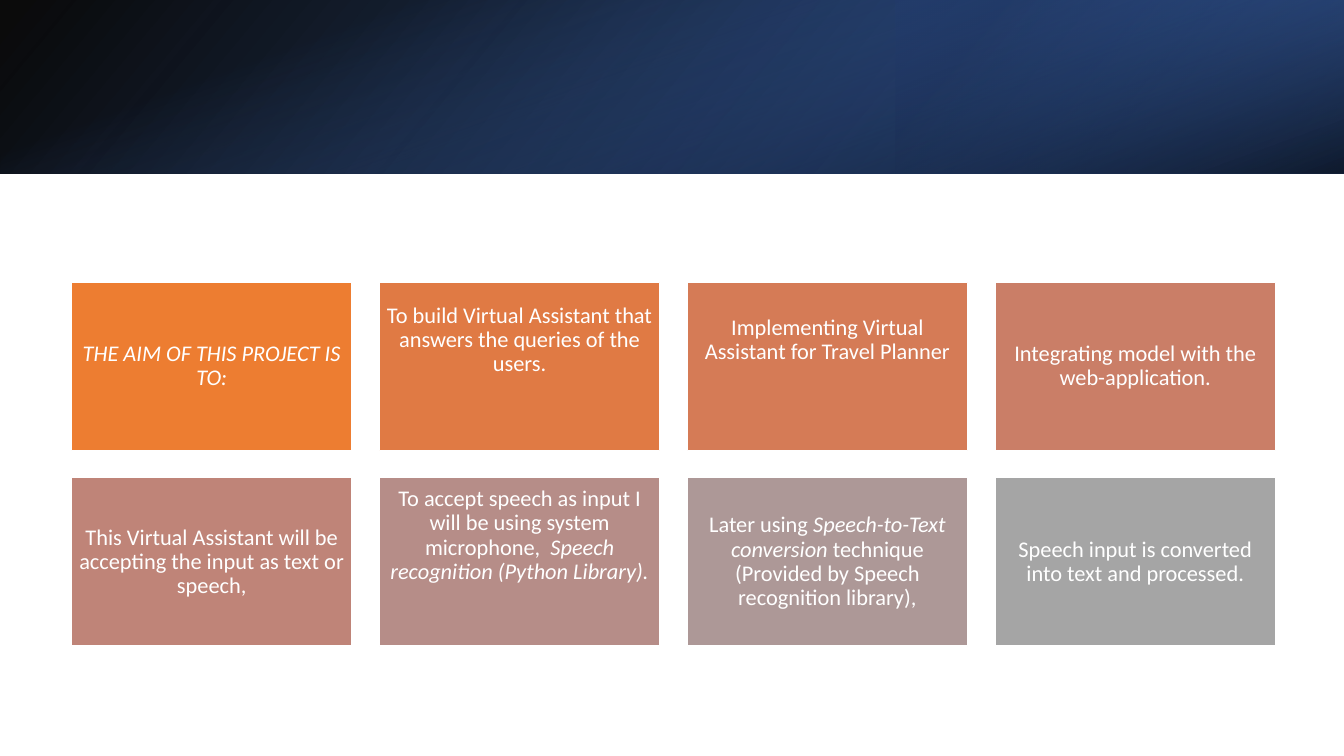
import pptx
import pptx.util
import pptx.oxml
import pptx.oxml.ns
from pptx.dml.color import RGBColor
from pptx.enum.shapes import MSO_SHAPE
from pptx.enum.text import MSO_ANCHOR, PP_ALIGN
from pptx.util import Inches

WHITE = RGBColor(0xFF, 0xFF, 0xFF)
BLACK = RGBColor(0x00, 0x00, 0x00)
BLUE = RGBColor(0x44, 0x72, 0xC4)
MID = RGBColor(0x2F, 0x55, 0x97)
NAVY = RGBColor(0x20, 0x38, 0x64)
TILES = [RGBColor.from_string(code) for code in (
    "ED7D31", "E07A44", "D57B56", "CA7E67",
    "BF8478", "B68D88", "AD9897", "A5A5A5")]

INSET = 0.07
RAISE = 0.52  # extra bottom inset of the tiles whose text sits high

# Each tile: runs as (text, italic), then whether the text sits high
AIMS = [
    ([("THE AIM OF THIS PROJECT IS TO:", True)], False),
    ([("To build Virtual Assistant that answers the queries of the users.",
       False)], True),
    ([("Implementing Virtual Assistant for Travel Planner", False)], True),
    ([("Integrating model with the web-application.", False)], False),
    ([("This Virtual Assistant will be accepting the input as text or speech,",
       False)], False),
    ([("To accept speech as input I will be using system microphone,  ", False),
      ("Speech recognition (Python Library).", True)], True),
    ([("Later using ", False), ("Speech-to-Text conversion", True),
      (" technique (Provided by Speech recognition library),", False)], False),
    ([("Speech input is converted into text and processed.", False)], False),
]


def add_rect(slide, left, top, width, height):
    rect = slide.shapes.add_shape(
        MSO_SHAPE.RECTANGLE, Inches(left), Inches(top),
        Inches(width), Inches(height))
    rect.shadow.inherit = False
    return rect


def add_glow(slide, box, stops, angle, turn=0, flip=False):
    """Add a gradient layer; stops are (percent, colour, opacity percent)."""
    glow = add_rect(slide, *box)
    glow.line.fill.background()
    glow.rotation = turn
    if flip:
        glow.element.spPr.xfrm.set("flipH", "1")
    glow.fill.gradient()
    glow.fill.gradient_angle = 360 - angle  # clockwise angle
    for stop, (place, color, _) in zip(glow.fill.gradient_stops, stops):
        stop.position = place / 100
        stop.color.rgb = color
    tints = glow.element.spPr.iter(pptx.oxml.ns.qn("a:srgbClr"))
    for tint, (_, _, alpha) in zip(tints, stops):
        mark = pptx.oxml.parse_xml(
            f'<a:alpha {pptx.oxml.ns.nsdecls("a")} val="{alpha * 1000}"/>')
        tint.append(mark)


def add_band(slide, left, top, width, height):
    add_glow(slide, (left, top, width, height),
             [(0, BLACK, 96), (100, MID, 100)], 140, flip=True)
    third = width / 3
    add_glow(slide, (left + width - third, top, third, height),
             [(19, NAVY, 68), (100, BLUE, 79)], 320, turn=180, flip=True)
    # A tall box turned a quarter about the centre of the band
    shift = (width - height) / 2
    add_glow(slide, (left + shift, top - shift, height, width),
             [(23, BLUE, 0), (99, BLACK, 74)], 340, turn=90)


def add_tile(slide, box, color, parts, high):
    tile = add_rect(slide, *box)
    tile.fill.solid()
    tile.fill.fore_color.rgb = color
    tile.line.color.rgb = WHITE
    tile.line.width = pptx.util.Pt(1)
    frame = tile.text_frame
    frame.word_wrap = True
    frame.vertical_anchor = MSO_ANCHOR.MIDDLE
    frame.margin_left = frame.margin_right = frame.margin_top = Inches(INSET)
    frame.margin_bottom = Inches(INSET + RAISE * high)
    para = frame.paragraphs[0]
    para.alignment = PP_ALIGN.CENTER
    para.line_spacing = 0.9
    for text, italic in parts:
        run = para.add_run()
        run.text = text
        run.font.name = "Calibri"
        run.font.size = pptx.util.Pt(16)
        run.font.italic = italic
        run.font.color.rgb = WHITE


def add_grid(slide, left, top, width, height, cols=4, rows=2):
    wide, tall = 2.78, 1.67
    step_x = (width - wide) / (cols - 1)
    step_y = (height - tall) / (rows - 1)
    for i, (color, (parts, high)) in enumerate(zip(TILES, AIMS)):
        row, col = divmod(i, cols)
        box = (left + col * step_x, top + row * step_y, wide, tall)
        add_tile(slide, box, color, parts, high)


def main():
    deck = pptx.Presentation()
    deck.slide_width = Inches(13.33)
    deck.slide_height = Inches(7.5)
    slide = deck.slides.add_slide(deck.slide_layouts[6])
    slide.background.fill.solid()
    slide.background.fill.fore_color.rgb = WHITE
    add_band(slide, 0, 0, 13.33, 1.72)
    add_grid(slide, 0.71, 2.8, 11.94, 3.61)
    deck.save("out.pptx")


if __name__ == "__main__":
    main()
